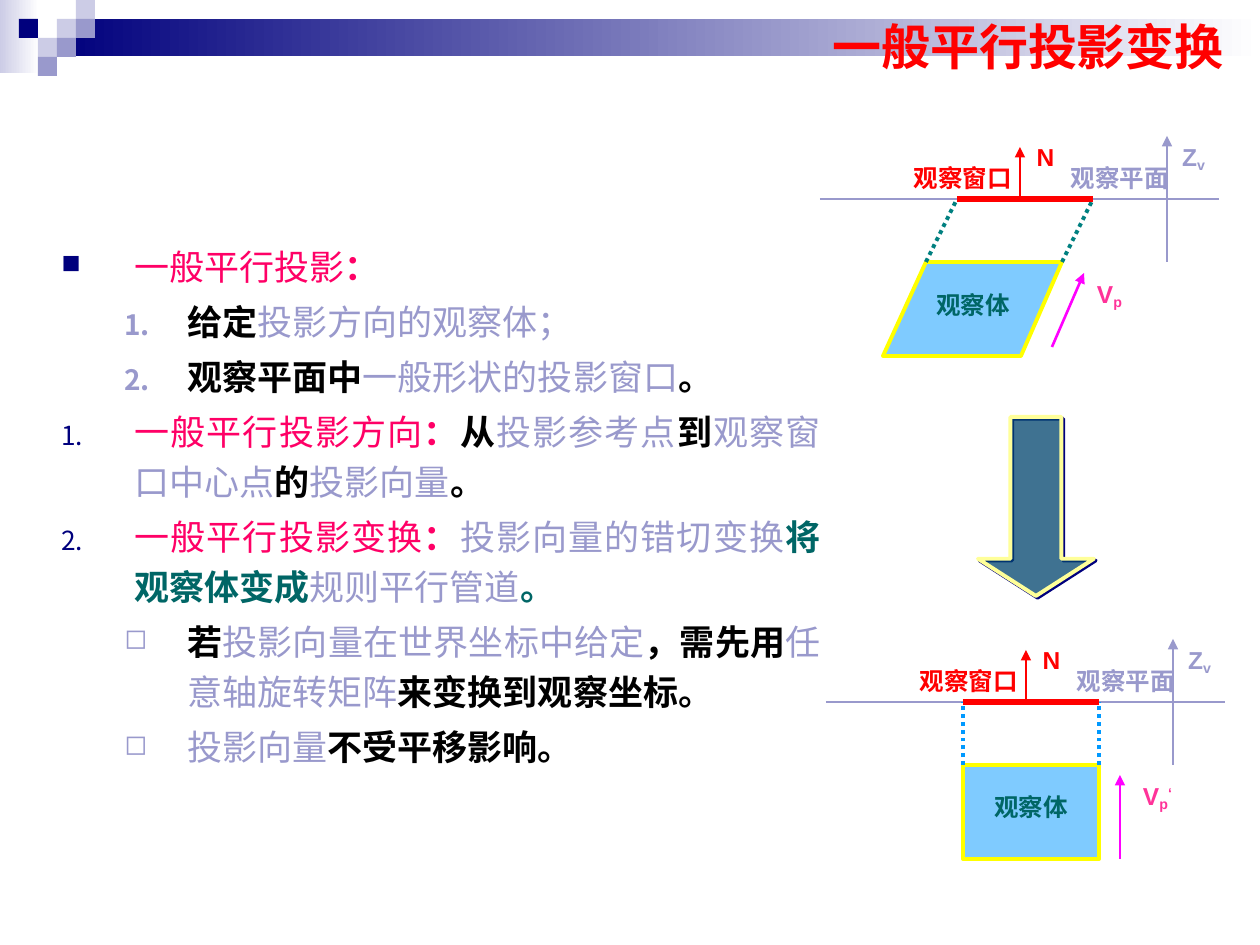
import dataclasses
import typing

import lxml.etree
import pptx
import pptx.dml.color
import pptx.enum.dml
import pptx.enum.shapes
import pptx.enum.text
import pptx.oxml
import pptx.oxml.ns
import pptx.util

EMU_PER_PX = 914400 / 126
NAVY, LAVENDER, PALE = "00007D", "9999CC", "CCCCE6"
RED, PINK, TEAL, BLACK = "FF0000", "FF0066", "006666", "000000"
SKY, YELLOW, MAGENTA, WHITE = "0099FF", "FFFF00", "FF00FF", "FFFFFF"
ALIGN = pptx.enum.text.PP_ALIGN
ANCHOR = pptx.enum.text.MSO_ANCHOR
SHAPE = pptx.enum.shapes.MSO_SHAPE
Point = tuple[int, int]
Box = tuple[int, int, int, int]


class Run(typing.NamedTuple):
    text: str
    color: str
    bold: bool = True
    baseline: int = 0


class Item(typing.NamedTuple):
    level: int
    bullet: str
    runs: list[Run]


@dataclasses.dataclass
class Diagram:
    origin: Point
    body: list[Point]
    ray_color: str
    projection: tuple[Point, Point]
    body_label: Point
    vector_label: Point
    vector_runs: list[Run]


def px(value: float) -> int:
    return round(value * EMU_PER_PX)


def rgb(color: str) -> pptx.dml.color.RGBColor:
    return pptx.dml.color.RGBColor.from_string(color)


def apply(target, values: dict) -> None:
    for name, value in values.items():
        setattr(target, name, value)


def add_child(parent, tag: str, **attributes: str):
    child = lxml.etree.SubElement(parent, pptx.oxml.ns.qn(tag))
    for name, value in attributes.items():
        child.set(name, value)
    return child


def add_runs(paragraph, runs: list[Run], size: int) -> None:
    for item in runs:
        run = paragraph.add_run()
        run.text = item.text
        apply(run.font, {"size": pptx.util.Pt(size), "name": "Arial", "bold": item.bold})
        run.font.color.rgb = rgb(item.color)
        if item.baseline:
            run.font._element.set("baseline", str(item.baseline * 1000))


def add_text(slide, box: Box, runs: list[Run], size: int, **frame_values):
    frame = slide.shapes.add_textbox(*map(px, box)).text_frame
    apply(frame, {"word_wrap": True, **frame_values})
    add_runs(frame.paragraphs[0], runs, size)
    return frame


def add_label(slide, box: Box, *runs: Run) -> None:
    add_text(slide, box, list(runs), 14).paragraphs[0].alignment = ALIGN.CENTER


def add_line(slide, start: Point, end: Point, color: str, width: float,
             dotted: bool = False, arrow: bool = False) -> None:
    connector = slide.shapes.add_connector(
        pptx.enum.shapes.MSO_CONNECTOR.STRAIGHT, *map(px, (*start, *end)))
    connector.line.color.rgb = rgb(color)
    connector.line.width = pptx.util.Pt(width)
    if dotted:
        connector.line.dash_style = pptx.enum.dml.MSO_LINE.ROUND_DOT
    if arrow:
        add_child(connector.line._get_or_add_ln(), "a:tailEnd", type="triangle")
    add_child(connector._element.spPr, "a:effectLst")


def paint_translucent(shape, fill: str, outline: str) -> None:
    shape.shadow.inherit = False
    shape.fill.solid()
    shape.fill.fore_color.rgb = rgb(fill)
    color = shape._element.spPr.find(".//" + pptx.oxml.ns.qn("a:srgbClr"))
    add_child(color, "a:alpha", val="50000")
    shape.line.color.rgb = rgb(outline)
    shape.line.width = pptx.util.Pt(2.25)


def add_block(slide, box: Box, *colors: str) -> None:
    shape = slide.shapes.add_shape(SHAPE.RECTANGLE, *map(px, box))
    shape.shadow.inherit = False
    shape.line.fill.background()
    if len(colors) == 1:
        shape.fill.solid()
        shape.fill.fore_color.rgb = rgb(colors[0])
        return
    shape.fill.gradient()
    shape.fill.gradient_angle = 0
    for stop, color in zip(shape.fill.gradient_stops, colors):
        stop.color.rgb = rgb(color)


def add_banner(slide) -> None:
    add_block(slide, (0, 0, 39, 73), PALE, WHITE)
    add_block(slide, (57, 19, 1203, 37), NAVY, WHITE)
    for column, row, color in [(3, 1, PALE), (4, 0, PALE), (4, 1, LAVENDER), (2, 2, PALE),
                               (1, 1, NAVY), (3, 2, LAVENDER), (2, 3, LAVENDER)]:
        add_block(slide, (19 * column, 19 * row, 19, 19), color)


def add_item(paragraph, item: Item) -> None:
    apply(paragraph, {"level": item.level, "alignment": ALIGN.JUSTIFY,
                      "line_spacing": 1.2, "space_before": pptx.util.Pt(2.5)})
    margin, indent, color, size = [(73, -73, NAVY, 75), (126, -63, LAVENDER, 80)][item.level]
    properties = paragraph._p.get_or_add_pPr()
    properties.set("marL", str(px(margin)))
    properties.set("indent", str(px(indent)))
    add_child(add_child(properties, "a:buClr"), "a:srgbClr", val=color)
    add_child(properties, "a:buSzPct", val=str(size * 1000))
    if item.bullet == "1.":
        add_child(properties, "a:buAutoNum", type="arabicPeriod")
    else:
        add_child(properties, "a:buChar", char=item.bullet)
    add_runs(paragraph, item.runs, 20)


def add_items(slide, items: list[Item]) -> None:
    frame = add_text(slide, (49, 98, 784, 809), [], 20, vertical_anchor=ANCHOR.MIDDLE)
    for index, item in enumerate(items):
        add_item(frame.add_paragraph() if index else frame.paragraphs[0], item)


def add_diagram(slide, diagram: Diagram) -> None:
    left, top = diagram.origin

    def at(point: Point) -> Point:
        return left + point[0], top + point[1]

    corners = [at(point) for point in diagram.body]
    builder = slide.shapes.build_freeform(*corners[0], scale=EMU_PER_PX)
    builder.add_line_segments(corners[1:], close=True)
    paint_translucent(builder.convert_to_shape(), SKY, YELLOW)
    window = [at((137, 0)), at((273, 0))]
    add_line(slide, at((0, 0)), at((399, 0)), LAVENDER, 1.5)
    add_line(slide, at((347, 63)), at((347, -63)), LAVENDER, 1.5, arrow=True)
    for corner, end in zip(corners, window):
        add_line(slide, corner, end, diagram.ray_color, 2.25, dotted=True)
    add_line(slide, *window, RED, 3)
    add_line(slide, *map(at, diagram.projection), MAGENTA, 1.5, arrow=True)
    add_line(slide, at((200, 0)), at((200, -52)), RED, 1.5, arrow=True)
    add_label(slide, (*at(diagram.body_label), 116, 43), Run("观察体", TEAL))
    add_label(slide, (*at((189, -63)), 73, 43), Run("N", RED))
    add_label(slide, (*at(diagram.vector_label), 95, 44), *diagram.vector_runs)
    add_label(slide, (*at((337, -63)), 73, 44), Run("Z", LAVENDER), Run("v", LAVENDER, True, -16))
    add_label(slide, (*at((75, -42)), 136, 43), Run("观察窗口", RED))
    add_label(slide, (*at((232, -42)), 136, 43), Run("观察平面", LAVENDER))


def add_down_arrow(slide) -> None:
    arrow = slide.shapes.add_shape(SHAPE.DOWN_ARROW, *map(px, (978, 417, 116, 179)))
    arrow.adjustments[0], arrow.adjustments[1] = 0.44, 0.32
    paint_translucent(arrow, TEAL, "FFFF99")
    effects = arrow._element.spPr.find(pptx.oxml.ns.qn("a:effectLst"))
    shadow = add_child(effects, "a:outerShdw", dist=str(pptx.util.Pt(1.4)),
                       dir="2700000", algn="ctr", rotWithShape="0")
    add_child(shadow, "a:srgbClr", val=NAVY)


def soft(text: str, color: str = LAVENDER) -> Run:
    return Run(text, color, False)


def strong(text: str, color: str = BLACK) -> Run:
    return Run(text, color)


ITEMS = [
    Item(0, "■", [soft("一般平行投影", PINK), strong("：", PINK)]),
    Item(1, "1.", [strong("给定"), soft("投影方向的观察体；")]),
    Item(1, "1.", [strong("观察平面中"), soft("一般形状的投影窗口"), strong("。")]),
    Item(0, "1.", [soft("一般平行投影方向", PINK), strong("：", PINK), strong("从"),
                   soft("投影参考点"), strong("到"), soft("观察窗口中心点"), strong("的"),
                   soft("投影向量"), strong("。")]),
    Item(0, "1.", [soft("一般平行投影变换", PINK), strong("：", PINK), soft("投影向量的错切变换"),
                   strong("将观察体变成", TEAL), soft("规则平行管道"), strong("。", TEAL)]),
    Item(1, "◻", [strong("若"), soft("投影向量在世界坐标中给定"), strong("，需先用"),
                  soft("任意轴旋转矩阵"), strong("来变换到观察坐标。")]),
    Item(1, "◻", [soft("投影向量"), strong("不受平移影响。")]),
]
VECTOR = [Run("V", "FF3399"), Run("p", "FF3399", True, -16)]
DIAGRAMS = [
    Diagram((820, 199), [(106, 63), (242, 63), (201, 157), (63, 157)], "008080",
            ((232, 148), (264, 74)), (95, 85), (242, 74), VECTOR),
    Diagram((826, 702), [(137, 63), (273, 63), (273, 157), (137, 157)], SKY,
            ((294, 157), (294, 73)), (147, 84), (284, 73),
            VECTOR + [Run("‘", "FF3399", True, 30)]),
]


def main() -> None:
    presentation = pptx.Presentation()
    apply(presentation, {"slide_width": px(1260), "slide_height": px(945)})
    slide = presentation.slides.add_slide(presentation.slide_layouts[6])
    add_banner(slide)
    add_text(slide, (820, 9, 428, 73), [Run("一般平行投影变换", RED)], 28,
             vertical_anchor=ANCHOR.MIDDLE)
    add_items(slide, ITEMS)
    for diagram in DIAGRAMS:
        add_diagram(slide, diagram)
    add_down_arrow(slide)
    presentation.save("out.pptx")


if __name__ == "__main__":
    main()
